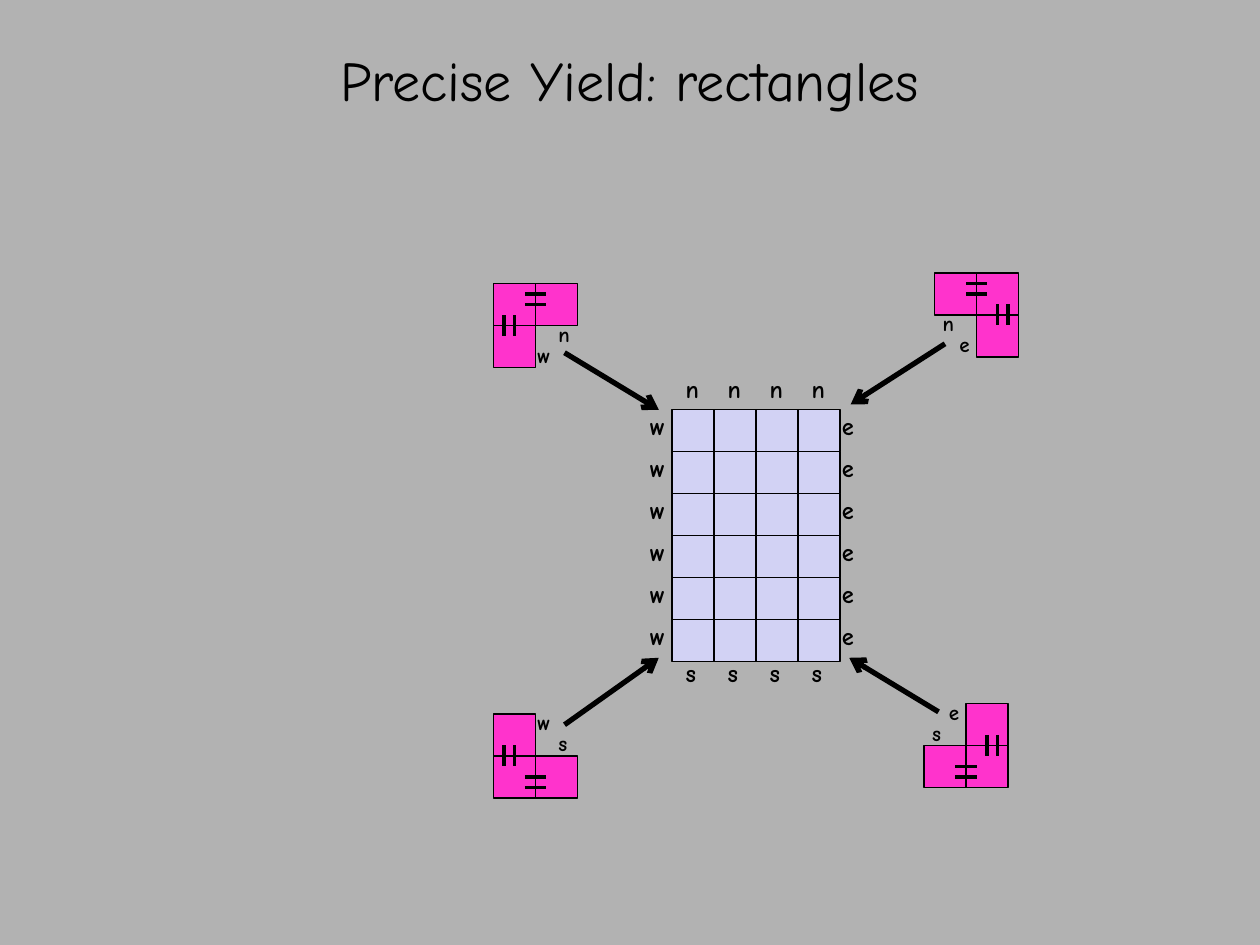
from dataclasses import dataclass

from lxml import etree
from pptx import Presentation, util as u
from pptx.dml.color import RGBColor
from pptx.enum import shapes, text
from pptx.oxml import ns


@dataclass(frozen=True)
class Theme:
    """Colours, type sizes and line widths of the slide."""
    font: str = "Comic Neue"
    back: str = "B2B2B2"
    ink: str = "000000"
    cell: str = "D2D2F4"
    tile: str = "FF33CC"
    title: int = 32
    label: int = 14
    small: int = 12
    thin: float = 0.75
    bar: float = 2.25
    arrow: float = 3


T = Theme()
CELL = 2.54 / 3
WIDTHS = {"n": 0.79, "e": 0.79, "w": 0.86, "s": 0.76}


def color(code):
    """Turn a hex code into a colour."""
    return RGBColor.from_string(code)


def write(tf, words, size=T.label, bold=False, align=text.PP_ALIGN.LEFT):
    """Put one formatted run into a text frame."""
    p = tf.paragraphs[0]
    p.alignment = align
    r = p.add_run()
    r.text = words
    r.font.name, r.font.size, r.font.bold = T.font, u.Pt(size), bold
    r.font.color.rgb = color(T.ink)


def add_letter(s, letter, x, y, size=T.label):
    """Add a bold direction letter in an unwrapped box."""
    small = size == T.small
    width = WIDTHS[letter] - (0.05 if small else 0)
    sp = s.shapes.add_textbox(u.Cm(x), u.Cm(y), u.Cm(width), u.Cm(0.76 if small else 0.86))
    tf = sp.text_frame
    tf.word_wrap = False
    tf.auto_size = text.MSO_AUTO_SIZE.SHAPE_TO_FIT_TEXT
    write(tf, letter, size=size, bold=True)


def add_square(s, x, y, fill):
    """Add one outlined unit square."""
    sp = s.shapes.add_shape(shapes.MSO_SHAPE.RECTANGLE, u.Cm(x), u.Cm(y), u.Cm(CELL), u.Cm(CELL))
    sp.shadow.inherit = False
    sp.fill.solid()
    sp.fill.fore_color.rgb = color(fill)
    sp.line.color.rgb = color(T.ink)
    sp.line.width = u.Pt(T.thin)


def add_line(s, x1, y1, x2, y2, width, arrow=False):
    """Add a straight line, with an arrowhead at its end on request."""
    sp = s.shapes.add_connector(
        shapes.MSO_CONNECTOR.STRAIGHT, u.Cm(x1), u.Cm(y1), u.Cm(x2), u.Cm(y2))
    sp.line.color.rgb = color(T.ink)
    sp.line.width = u.Pt(width)
    props = sp._element.spPr
    if arrow:
        etree.SubElement(props.find(ns.qn("a:ln")), ns.qn("a:tailEnd"), type="arrow")
    etree.SubElement(props, ns.qn("a:effectLst"))


def add_title(s, x, y, w, h):
    """Place and fill the title placeholder."""
    sp = s.shapes.title
    sp.left, sp.top, sp.width, sp.height = map(u.Cm, (x, y, w, h))
    sp.text_frame.vertical_anchor = text.MSO_ANCHOR.MIDDLE
    write(sp.text_frame, "Precise Yield: rectangles", size=T.title, align=text.PP_ALIGN.CENTER)


def add_grid(s, x, y, cols, rows):
    """Draw the grid with a direction letter along every edge square."""
    for col in range(cols):
        for row in range(rows):
            add_square(s, x + col * CELL, y + row * CELL, T.cell)
    for col in range(cols):
        left = x + (col + 0.03) * CELL
        add_letter(s, "n", left, y - CELL)
        add_letter(s, "s", left, y + (rows - 0.24) * CELL)
    for row in range(rows):
        top = y + (row - 0.1) * CELL
        add_letter(s, "w", x - 0.82 * CELL, top)
        add_letter(s, "e", x + (cols - 0.25) * CELL, top)


def add_corner(s, x, y, corner):
    """Draw an L of three squares joined by bars, with its two letters."""
    ns_side, ew_side = corner
    north, west = ns_side == "n", ew_side == "w"
    gap = (1 if west else 0, 1 if north else 0)
    for col in range(2):
        for row in range(2):
            if (col, row) != gap:
                add_square(s, x + col * CELL, y + row * CELL, T.tile)
    near, far = (0.25, 0.5), (1.5, 1.75)
    start, end = 0.75 * CELL, 1.25 * CELL
    for at in near if north else far:
        add_line(s, x + start, y + at * CELL, x + end, y + at * CELL, T.bar)
    for at in near if west else far:
        add_line(s, x + at * CELL, y + start, x + at * CELL, y + end, T.bar)
    add_letter(s, ns_side, x + (1.25 if west else -0.1) * CELL,
               y + (0.75 if north else 0.25) * CELL, T.small)
    add_letter(s, ew_side, x + (0.75 if west else 0.3) * CELL,
               y + (1.25 if north else -0.25) * CELL, T.small)


def main():
    """Build and save the slide."""
    prs = Presentation()
    prs.slide_width, prs.slide_height = u.Cm(25.4), u.Cm(19.05)
    s = prs.slides.add_slide(prs.slide_layouts[5])
    s.background.fill.solid()
    s.background.fill.fore_color.rgb = color(T.back)
    add_title(s, 0, 0.74, 25.4, 1.7)
    add_grid(s, 16 * CELL, 9.75 * CELL, 4, 6)
    corners = {
        "nw": ((11.75, 6.75), (11.38, 7.11, 13.28, 8.26)),
        "ne": ((22.25, 6.5), (19.05, 6.93, 17.15, 8.15)),
        "sw": ((11.75, 17), (11.38, 14.61, 13.28, 13.26)),
        "se": ((22, 16.75), (18.92, 14.35, 17.12, 13.26)),
    }
    for corner, ((col, row), ends) in corners.items():
        add_corner(s, col * CELL, row * CELL, corner)
        add_line(s, *ends, T.arrow, arrow=True)
    prs.save("out.pptx")


if __name__ == "__main__":
    main()
